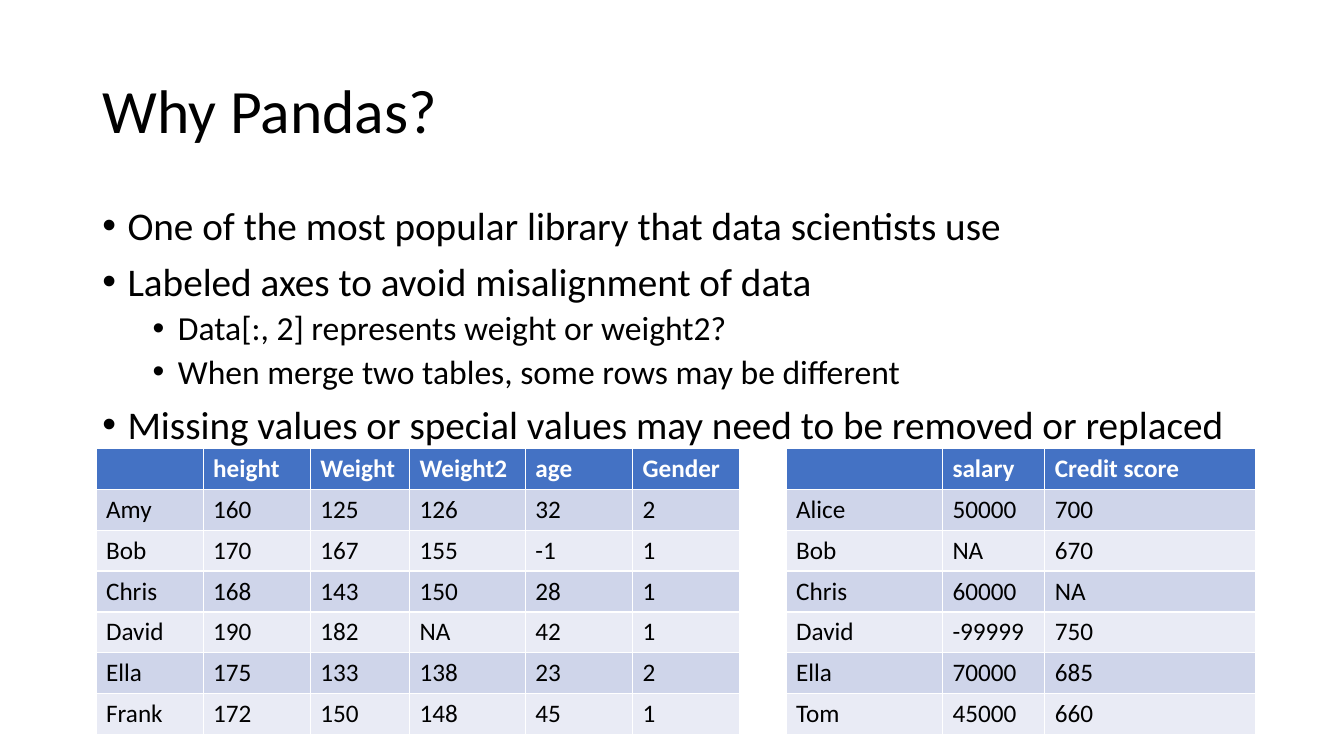
from dataclasses import dataclass

import lxml.etree
import pptx
import pptx.dml.color
import pptx.enum.text
import pptx.oxml.ns
import pptx.slide
import pptx.text.text
import pptx.util

Cm = pptx.util.Cm
Pt = pptx.util.Pt


@dataclass(frozen=True)
class Theme:
    font: str = "Calibri"
    ink: str = "000000"
    header_ink: str = "FFFFFF"
    header_fill: str = "4472C4"
    band_fills: tuple[str, str] = ("CFD5EA", "E9EBF5")
    title_size: int = 44
    bullet_sizes: tuple[int, int] = (28, 24)
    bullet_gaps: tuple[int, int] = (10, 5)
    table_size: int = 18
    line_spacing: float = 0.9


@dataclass(frozen=True)
class Bullet:
    text: str
    level: int = 0


@dataclass(frozen=True)
class DataTable:
    left: float
    column_widths: tuple[float, ...]
    rows: tuple[tuple[str, ...], ...]


THEME = Theme()
TEXT_LEFT, TEXT_WIDTH = 2.33, 29.21
TABLE_TOP, ROW_HEIGHT = 11.3, 1.03
BULLET_HANG, LEVEL_STEP = 0.635, 1.27

BULLETS = (
    Bullet("One of the most popular library that data scientists use"),
    Bullet("Labeled axes to avoid misalignment of data"),
    Bullet("Data[:, 2] represents weight or weight2?", 1),
    Bullet("When merge two tables, some rows may be different", 1),
    Bullet("Missing values or special values may need to be removed or replaced"),
)

TABLES = (
    DataTable(2.42, (2.7, 2.7, 2.5, 2.92, 2.7, 2.7), (
        ("", "height", "Weight", "Weight2", "age", "Gender"),
        ("Amy", "160", "125", "126", "32", "2"),
        ("Bob", "170", "167", "155", "-1", "1"),
        ("Chris", "168", "143", "150", "28", "1"),
        ("David", "190", "182", "NA", "42", "1"),
        ("Ella", "175", "133", "138", "23", "2"),
        ("Frank", "172", "150", "148", "45", "1"),
    )),
    DataTable(19.81, (3.94, 2.58, 5.3), (
        ("", "salary", "Credit score"),
        ("Alice", "50000", "700"),
        ("Bob", "NA", "670"),
        ("Chris", "60000", "NA"),
        ("David", "-99999", "750"),
        ("Ella", "70000", "685"),
        ("Tom", "45000", "660"),
    )),
)


def format_runs(para: pptx.text.text._Paragraph, size: int, color: str, bold: bool = False) -> None:
    for span in para.runs:
        span.font.name = THEME.font
        span.font.size = Pt(size)
        span.font.bold = bold
        span.font.color.rgb = pptx.dml.color.RGBColor.from_string(color)


def add_text_frame(page: pptx.slide.Slide, top: float, height: float) -> pptx.text.text.TextFrame:
    box = page.shapes.add_textbox(Cm(TEXT_LEFT), Cm(top), Cm(TEXT_WIDTH), Cm(height))
    box.text_frame.word_wrap = True
    return box.text_frame


def add_title(page: pptx.slide.Slide, text: str) -> None:
    frame = add_text_frame(page, 1.01, 3.68)
    frame.vertical_anchor = pptx.enum.text.MSO_ANCHOR.MIDDLE
    frame.text = text
    para = frame.paragraphs[0]
    para.line_spacing = THEME.line_spacing
    format_runs(para, THEME.title_size, THEME.ink)


def add_bullets(page: pptx.slide.Slide, bullets: tuple[Bullet, ...]) -> None:
    frame = add_text_frame(page, 5.07, 12.09)
    for index, bullet in enumerate(bullets):
        para = frame.add_paragraph() if index else frame.paragraphs[0]
        para.text = bullet.text
        para.level = bullet.level
        para.line_spacing = THEME.line_spacing
        para.space_before = Pt(THEME.bullet_gaps[bullet.level])
        format_runs(para, THEME.bullet_sizes[bullet.level], THEME.ink)

        # Hanging bullet mark
        properties = para._p.get_or_add_pPr()
        properties.set("marL", str(Cm(BULLET_HANG + LEVEL_STEP * bullet.level)))
        properties.set("indent", str(-Cm(BULLET_HANG)))
        for tag, key, value in (("a:buFont", "typeface", "Arial"), ("a:buChar", "char", "•")):
            mark = lxml.etree.SubElement(properties, pptx.oxml.ns.qn(tag))
            mark.set(key, value)


def add_data_table(page: pptx.slide.Slide, data: DataTable) -> None:
    frame = page.shapes.add_table(
        len(data.rows), len(data.column_widths), Cm(data.left), Cm(TABLE_TOP),
        Cm(sum(data.column_widths)), Cm(ROW_HEIGHT * len(data.rows)))
    table = frame.table
    for column, width in zip(table.columns, data.column_widths):
        column.width = Cm(width)
    for row_index, values in enumerate(data.rows):
        table.rows[row_index].height = Cm(ROW_HEIGHT)
        is_header = row_index == 0
        fill = THEME.header_fill if is_header else THEME.band_fills[(row_index - 1) % 2]
        ink = THEME.header_ink if is_header else THEME.ink
        for column_index, value in enumerate(values):
            cell = table.cell(row_index, column_index)
            cell.fill.solid()
            cell.fill.fore_color.rgb = pptx.dml.color.RGBColor.from_string(fill)
            if value:
                cell.text_frame.text = value
                format_runs(cell.text_frame.paragraphs[0], THEME.table_size, ink, is_header)


def main() -> None:
    deck = pptx.Presentation()
    deck.slide_width, deck.slide_height = Cm(33.87), Cm(19.05)
    page = deck.slides.add_slide(deck.slide_layouts[6])

    # Heading and points
    add_title(page, "Why Pandas?")
    add_bullets(page, BULLETS)

    # Example tables
    for data in TABLES:
        add_data_table(page, data)

    deck.save("out.pptx")


if __name__ == "__main__":
    main()
